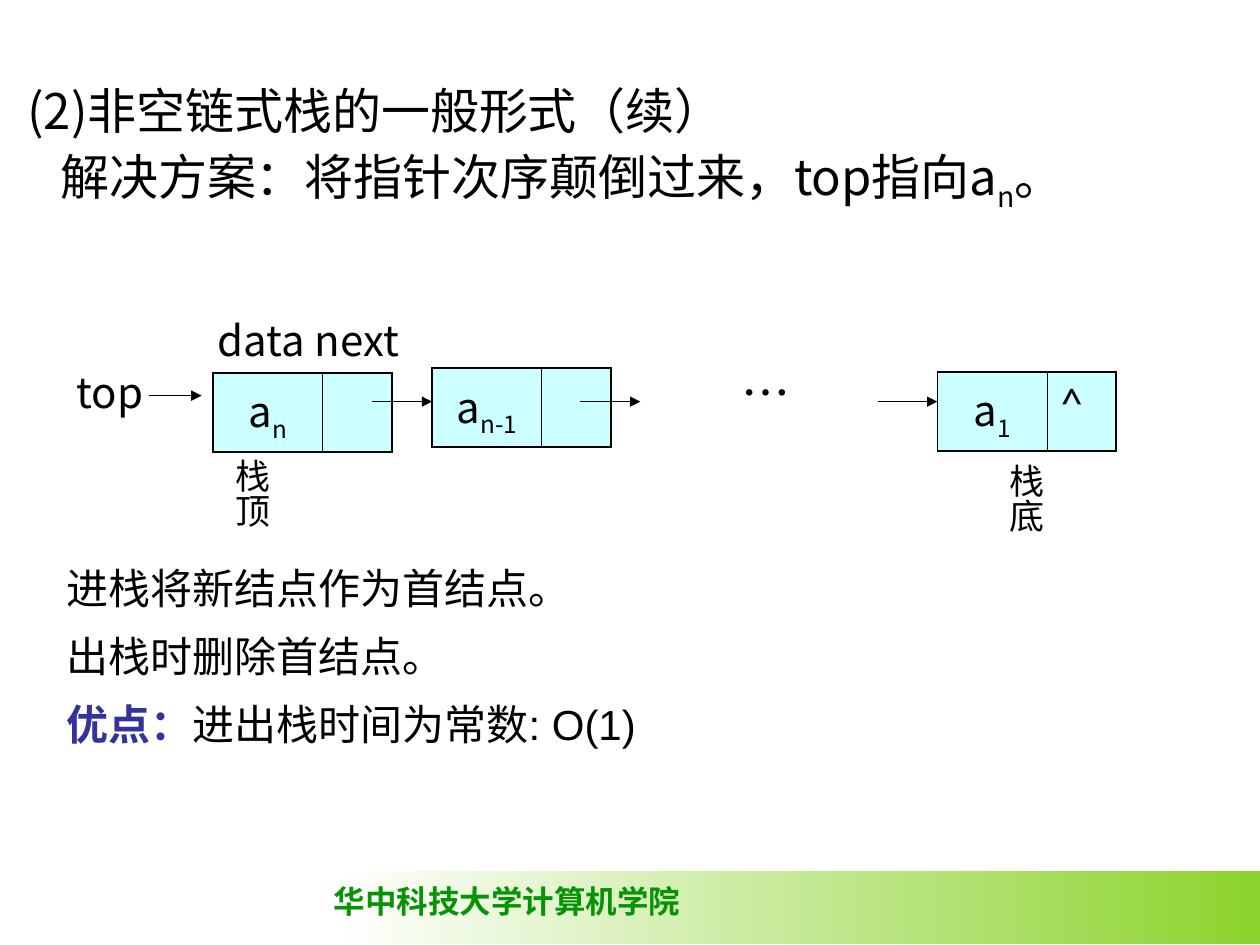
from dataclasses import dataclass

from lxml.etree import SubElement
from pptx import Presentation
from pptx.dml.color import RGBColor
from pptx.enum.shapes import MSO_CONNECTOR, MSO_SHAPE
from pptx.enum.text import PP_ALIGN
from pptx.oxml import parse_xml
from pptx.oxml.ns import nsdecls, qn
from pptx.util import Pt


@dataclass(frozen=True)
class Theme:
    ink: str = "000000"
    accent: str = "333399"
    school: str = "069406"
    band: str = "8CD32D"
    paper: str = "FFFFFF"
    node: str = "CCFFFF"
    cjk: str = "Noto Sans CJK SC"
    latin: str = "Arial"
    serif: str = "Times New Roman"
    symbol: str = "Lato"
    heading: float = 28
    body: float = 24
    caption: float = 20
    footer: float = 18
    leading: float = 0.83
    outer: float = 1.08
    inner: float = 0.45
    arrow: float = 0.75


@dataclass(frozen=True)
class Node:
    left: float
    top: float
    index: str
    link: str = ""


@dataclass(frozen=True)
class Label:
    text: str
    left: float
    top: float
    width: float
    height: float
    size: float
    wrap: bool = False
    font: str = "Noto Sans CJK SC"
    color: str = "000000"
    bold: bool = False


@dataclass(frozen=True)
class Arrow:
    start: float
    end: float
    y: float


THEME = Theme()
DATA_WIDTH, NEXT_WIDTH, NODE_HEIGHT = 62.6, 39.6, 45.2
LINK_Y = 229.5

NODES = [
    Node(121.7, 213.1, "n"),
    Node(247, 210.4, "n-1"),
    Node(535.7, 212.4, "1", "^"),
]
LABELS = [
    Label("华中科技大学计算机学院", 183.6, 501.8, 212.4, 28.8, THEME.footer,
          font=THEME.serif, color=THEME.school, bold=True),
    Label("data next", 117.4, 178.6, 120.2, 36, THEME.body),
    Label("top", 36.7, 208.1, 54, 36, THEME.body, wrap=True),
    Label("栈底", 569.5, 260.6, 54, 31.7, THEME.caption),
    Label("栈顶", 127.4, 257.8, 54, 31.7, THEME.caption),
    Label("…", 416.9, 206.6, 67.7, 41, THEME.heading, wrap=True),
]
ARROWS = [
    Arrow(85, 115.2, 226.1),
    Arrow(212.4, 247, LINK_Y),
    Arrow(331.6, 366, LINK_Y),
    Arrow(501.6, 535.7, LINK_Y),
]


def write(paragraph, text: str, *, size: float, font: str = THEME.cjk,
          color: str = THEME.ink, bold: bool = False, subscript: bool = False) -> None:
    run = paragraph.add_run()
    run.text = text
    run.font.size = Pt(size)
    run.font.name = font
    run.font.bold = bold
    run.font.color.rgb = RGBColor.from_string(color)
    properties = run.font._element
    SubElement(properties, qn("a:ea")).set("typeface", THEME.cjk)
    if subscript:
        properties.set("baseline", "-25000")


def add_paragraphs(slide, left: float, top: float, width: float, height: float, *,
                   count: int = 1, gap: float = 0, wrap: bool = True) -> list:
    frame = slide.shapes.add_textbox(Pt(left), Pt(top), Pt(width), Pt(height)).text_frame
    frame.word_wrap = wrap
    frame.margin_top = Pt(6)
    paragraphs = [frame.paragraphs[0]] + [frame.add_paragraph() for _ in range(count - 1)]
    for position, paragraph in enumerate(paragraphs):
        paragraph.line_spacing = THEME.leading
        paragraph.space_before = Pt(gap if position else 0)
    return paragraphs


def draw_label(slide, label: Label) -> None:
    (line,) = add_paragraphs(slide, label.left, label.top, label.width, label.height,
                             wrap=label.wrap)
    write(line, label.text, size=label.size, font=label.font,
          color=label.color, bold=label.bold)


def style_cell(cell, left_border: float, right_border: float) -> None:
    cell.fill.solid()
    cell.fill.fore_color.rgb = RGBColor.from_string(THEME.node)
    borders = {"L": left_border, "R": right_border, "T": THEME.outer, "B": THEME.outer}
    for position, (side, weight) in enumerate(borders.items()):
        cell._tc.tcPr.insert(position, parse_xml(
            f'<a:ln{side} {nsdecls("a")} w="{Pt(weight)}"><a:solidFill>'
            f'<a:srgbClr val="{THEME.ink}"/></a:solidFill></a:ln{side}>'))


def draw_node(slide, node: Node) -> None:
    table = slide.shapes.add_table(1, 2, Pt(node.left), Pt(node.top),
                                   Pt(DATA_WIDTH + NEXT_WIDTH), Pt(NODE_HEIGHT)).table
    table.first_row = table.horz_banding = False
    for column, width in zip(table.columns, (DATA_WIDTH, NEXT_WIDTH)):
        column.width = Pt(width)
    data, link = table.cell(0, 0), table.cell(0, 1)
    style_cell(data, THEME.outer, THEME.inner)
    style_cell(link, THEME.inner, THEME.outer)
    element = data.text_frame.paragraphs[0]
    element.alignment = PP_ALIGN.CENTER
    write(element, "a", size=THEME.body)
    write(element, node.index, size=THEME.body, subscript=True)
    if node.link:
        write(link.text_frame.paragraphs[0], node.link, size=THEME.body, font=THEME.symbol)


def draw_arrow(slide, arrow: Arrow) -> None:
    pointer = slide.shapes.add_connector(MSO_CONNECTOR.STRAIGHT, Pt(arrow.start), Pt(arrow.y),
                                         Pt(arrow.end), Pt(arrow.y))
    pointer.line.width = Pt(THEME.arrow)
    pointer.line.color.rgb = RGBColor.from_string(THEME.ink)
    SubElement(pointer.line._get_or_add_ln(), qn("a:tailEnd")).set("type", "triangle")
    SubElement(pointer._element.spPr, qn("a:effectLst"))


def draw_band(slide) -> None:
    band = slide.shapes.add_shape(MSO_SHAPE.RECTANGLE, Pt(192), Pt(497.5), Pt(528), Pt(42))
    band.shadow.inherit = False
    band.line.fill.background()
    band.fill.gradient()
    band.fill.gradient_angle = 180
    for stop, color, position in zip(band.fill.gradient_stops, (THEME.band, THEME.paper), (0, 1)):
        stop.color.rgb = RGBColor.from_string(color)
        stop.position = position


def draw_heading(slide) -> None:
    title, solution = add_paragraphs(slide, 8.6, 45.4, 696.2, 93.6, count=2, gap=7)
    solution._p.get_or_add_pPr().set("marL", str(Pt(18.8)))
    write(title, "(2)非空链式栈的一般形式（续）", size=THEME.heading)
    write(solution, "解决方案：将指针次序颠倒过来，top指向a", size=THEME.heading)
    write(solution, "n", size=THEME.heading, subscript=True)
    write(solution, "。", size=THEME.heading)


def draw_summary(slide) -> None:
    push, pop, benefit = add_paragraphs(slide, 31, 320.4, 652.3, 167.8, count=3, gap=15)
    write(push, "进栈将新结点作为首结点。", size=THEME.body, font=THEME.latin)
    write(pop, "出栈时删除首结点。", size=THEME.body, font=THEME.latin)
    write(benefit, "优点：", size=THEME.body, font=THEME.latin, color=THEME.accent, bold=True)
    write(benefit, "进出栈时间为常数: O(1)", size=THEME.body, font=THEME.latin)


def main() -> None:
    deck = Presentation()
    deck.slide_width, deck.slide_height = Pt(720), Pt(540)
    slide = deck.slides.add_slide(deck.slide_layouts[6])
    draw_band(slide)
    draw_heading(slide)
    for node in NODES:
        draw_node(slide, node)
    for label in LABELS:
        draw_label(slide, label)
    for arrow in ARROWS:
        draw_arrow(slide, arrow)
    draw_summary(slide)
    deck.save("out.pptx")


if __name__ == "__main__":
    main()
